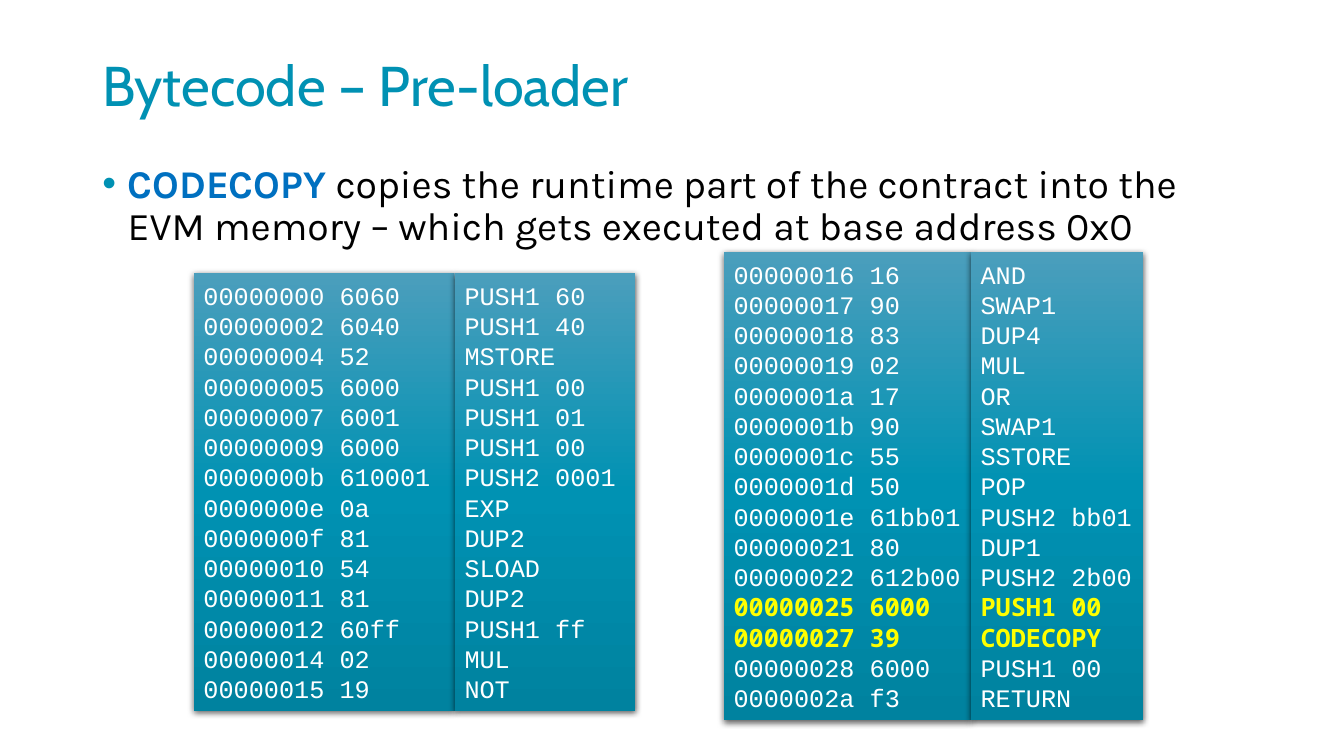
import pptx
import pptx.util
import pptx.dml.color
import pptx.enum.shapes
import pptx.enum.text
import pptx.oxml
import pptx.oxml.ns

Pt = pptx.util.Pt
ANCHOR = pptx.enum.text.MSO_ANCHOR
ALIGN = pptx.enum.text.PP_ALIGN
AUTO_SIZE = pptx.enum.text.MSO_AUTO_SIZE
NAMESPACE = pptx.oxml.ns.nsdecls("a")


def color(hex_string):
    return pptx.dml.color.RGBColor.from_string(hex_string)


def add_run(paragraph, text, font_name, size, hex_string, bold=False):
    run = paragraph.add_run()
    run.text = text
    font_format = {"name": font_name, "size": Pt(size), "bold": bold}
    for name, value in font_format.items():
        setattr(run.font, name, value)
    run.font.color.rgb = color(hex_string)


presentation = pptx.Presentation()
presentation.slide_width = Pt(960)
presentation.slide_height = Pt(540)
slide = presentation.slides.add_slide(presentation.slide_layouts[1])

title = slide.shapes.title
body = slide.placeholders[1]
placeholder_formats = [
    (title, (66, 33, 655, 60), ANCHOR.MIDDLE, 0),
    (body, (66, 114, 828, 372), ANCHOR.TOP, 10),
]
for shape, bounds, anchor, space_before in placeholder_formats:
    for name, value in zip(("left", "top", "width", "height"), bounds):
        setattr(shape, name, Pt(value))
    frame_format = {"auto_size": AUTO_SIZE.NONE, "word_wrap": True, "vertical_anchor": anchor}
    for name, value in frame_format.items():
        setattr(shape.text_frame, name, value)
    paragraph_format = {
        "alignment": ALIGN.LEFT,
        "line_spacing": 0.9,
        "space_before": Pt(space_before),
    }
    for name, value in paragraph_format.items():
        setattr(shape.text_frame.paragraphs[0], name, value)

add_run(title.text_frame.paragraphs[0], "Bytecode – Pre-loader", "Cabin", 40, "0091B3")

bullet = body.text_frame.paragraphs[0]
add_run(bullet, "CODECOPY", "Karla", 28, "0070C0", True)
add_run(
    bullet,
    " copies the runtime part of the contract into the EVM memory"
    " – which gets executed at base address 0x0",
    "Karla", 28, "000000",
)
bullet_properties = bullet._p.get_or_add_pPr()
bullet_properties.set("marL", str(Pt(18)))
bullet_properties.set("indent", str(-Pt(18)))
for markup in (
    f'<a:buClr {NAMESPACE}><a:srgbClr val="0091B3"/></a:buClr>',
    f'<a:buFont {NAMESPACE} typeface="Arial"/>',
    f'<a:buChar {NAMESPACE} char="•"/>',
):
    bullet_properties.append(pptx.oxml.parse_xml(markup))

first_listing = [
    ("00000000 6060", "PUSH1 60"),
    ("00000002 6040", "PUSH1 40"),
    ("00000004 52", "MSTORE"),
    ("00000005 6000", "PUSH1 00"),
    ("00000007 6001", "PUSH1 01"),
    ("00000009 6000", "PUSH1 00"),
    ("0000000b 610001", "PUSH2 0001"),
    ("0000000e 0a", "EXP"),
    ("0000000f 81", "DUP2"),
    ("00000010 54", "SLOAD"),
    ("00000011 81", "DUP2"),
    ("00000012 60ff", "PUSH1 ff"),
    ("00000014 02", "MUL"),
    ("00000015 19", "NOT"),
]
second_listing = [
    ("00000016 16", "AND"),
    ("00000017 90", "SWAP1"),
    ("00000018 83", "DUP4"),
    ("00000019 02", "MUL"),
    ("0000001a 17", "OR"),
    ("0000001b 90", "SWAP1"),
    ("0000001c 55", "SSTORE"),
    ("0000001d 50", "POP"),
    ("0000001e 61bb01", "PUSH2 bb01"),
    ("00000021 80", "DUP1"),
    ("00000022 612b00", "PUSH2 2b00"),
    ("00000025 6000", "PUSH1 00"),
    ("00000027 39", "CODECOPY"),
    ("00000028 6000", "PUSH1 00"),
    ("0000002a f3", "RETURN"),
]
highlighted_addresses = {"00000025 6000", "00000027 39"}

gradient_stops = "".join(
    f'<a:gs pos="{position}"><a:srgbClr val="{hex_string}"/></a:gs>'
    for position, hex_string in ((0, "4B9EBC"), (50000, "0092B3"), (100000, "00829F"))
)
gradient = (
    f'<a:gradFill {NAMESPACE} rotWithShape="1"><a:gsLst>{gradient_stops}</a:gsLst>'
    '<a:lin ang="5400000" scaled="0"/></a:gradFill>'
)
shadow = (
    f'<a:effectLst {NAMESPACE}><a:outerShdw blurRad="{Pt(4.5)}" dist="{Pt(1.5)}" '
    'dir="5400000" algn="ctr" rotWithShape="0"><a:srgbClr val="000000">'
    '<a:alpha val="63000"/></a:srgbClr></a:outerShdw></a:effectLst>'
)

panels = [
    (first_listing, 0, (138.24, 195.12, 186.48, 312.48), True),
    (second_listing, 0, (516.96, 180, 176.76, 334.08), False),
    (first_listing, 1, (324.72, 195.12, 128.88, 312.48), True),
    (second_listing, 1, (693.36, 180, 123.12, 334.08), False),
]
for listing, column, bounds, wrap in panels:
    panel = slide.shapes.add_shape(
        pptx.enum.shapes.MSO_SHAPE.RECTANGLE, *(Pt(value) for value in bounds)
    )
    panel.line.fill.background()
    panel_properties = panel._element.spPr
    panel_properties.insert(2, pptx.oxml.parse_xml(gradient))
    panel_properties.append(pptx.oxml.parse_xml(shadow))
    frame = panel.text_frame
    frame_format = {
        "auto_size": AUTO_SIZE.SHAPE_TO_FIT_TEXT,
        "word_wrap": wrap,
        "vertical_anchor": ANCHOR.MIDDLE,
    }
    for name, value in frame_format.items():
        setattr(frame, name, value)
    for index, row in enumerate(listing):
        paragraph = frame.add_paragraph() if index else frame.paragraphs[0]
        paragraph.alignment = ALIGN.LEFT
        paragraph.line_spacing = Pt(21.6)
        if row[0] in highlighted_addresses:
            add_run(paragraph, row[column], "Noto Sans Mono", 18, "FFFF00", True)
        else:
            add_run(paragraph, row[column], "Courier New", 18, "FFFFFF")

presentation.save("out.pptx")
